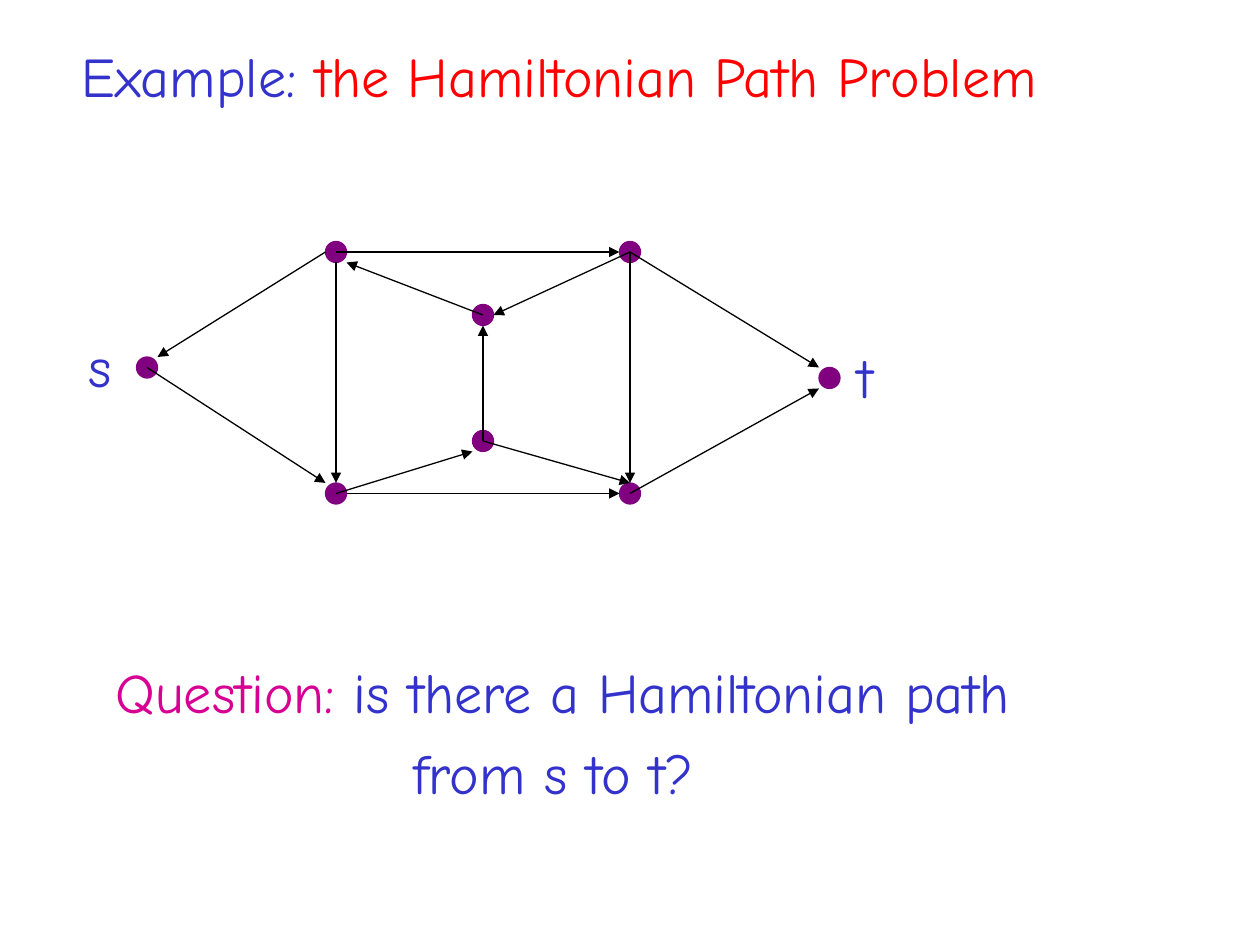
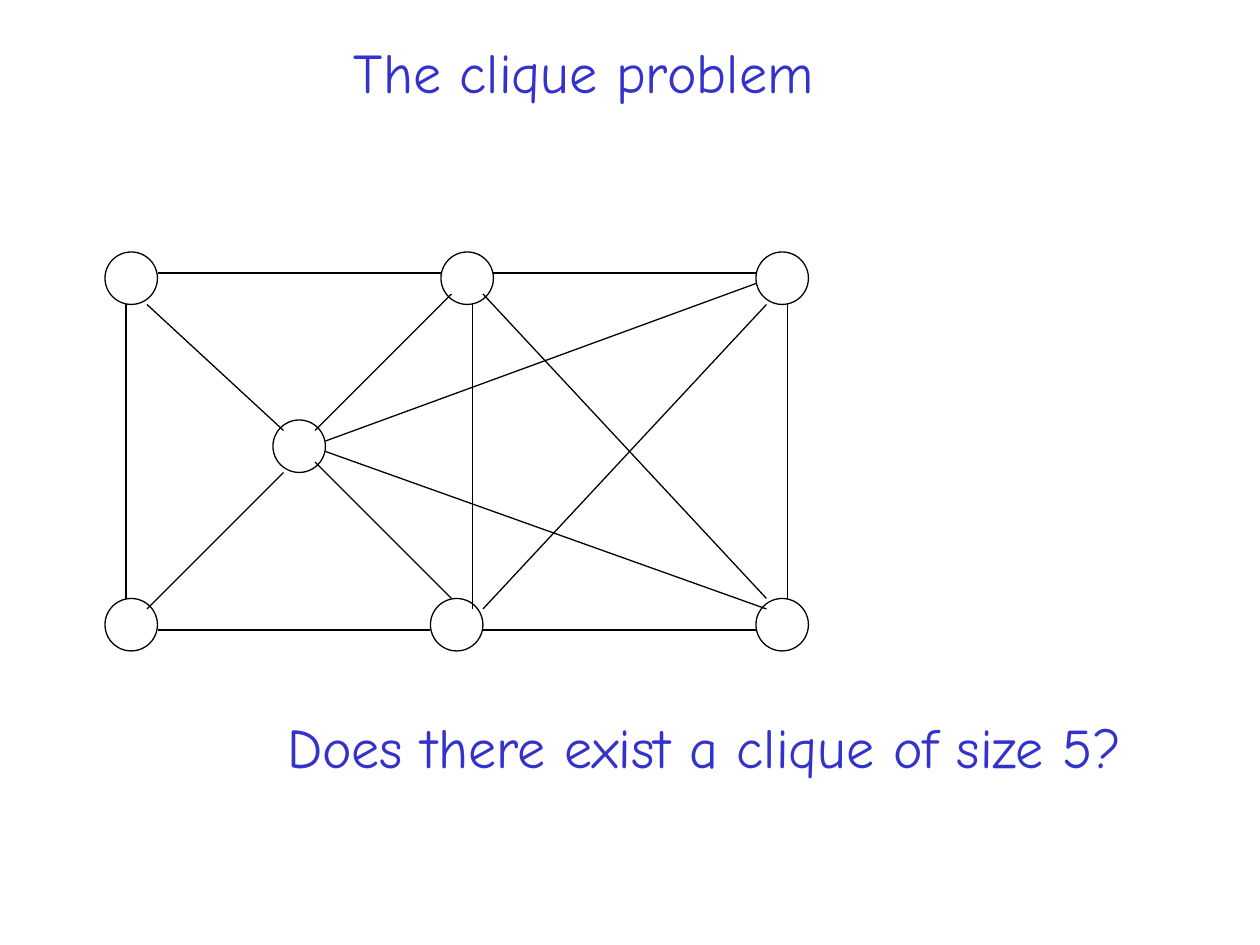
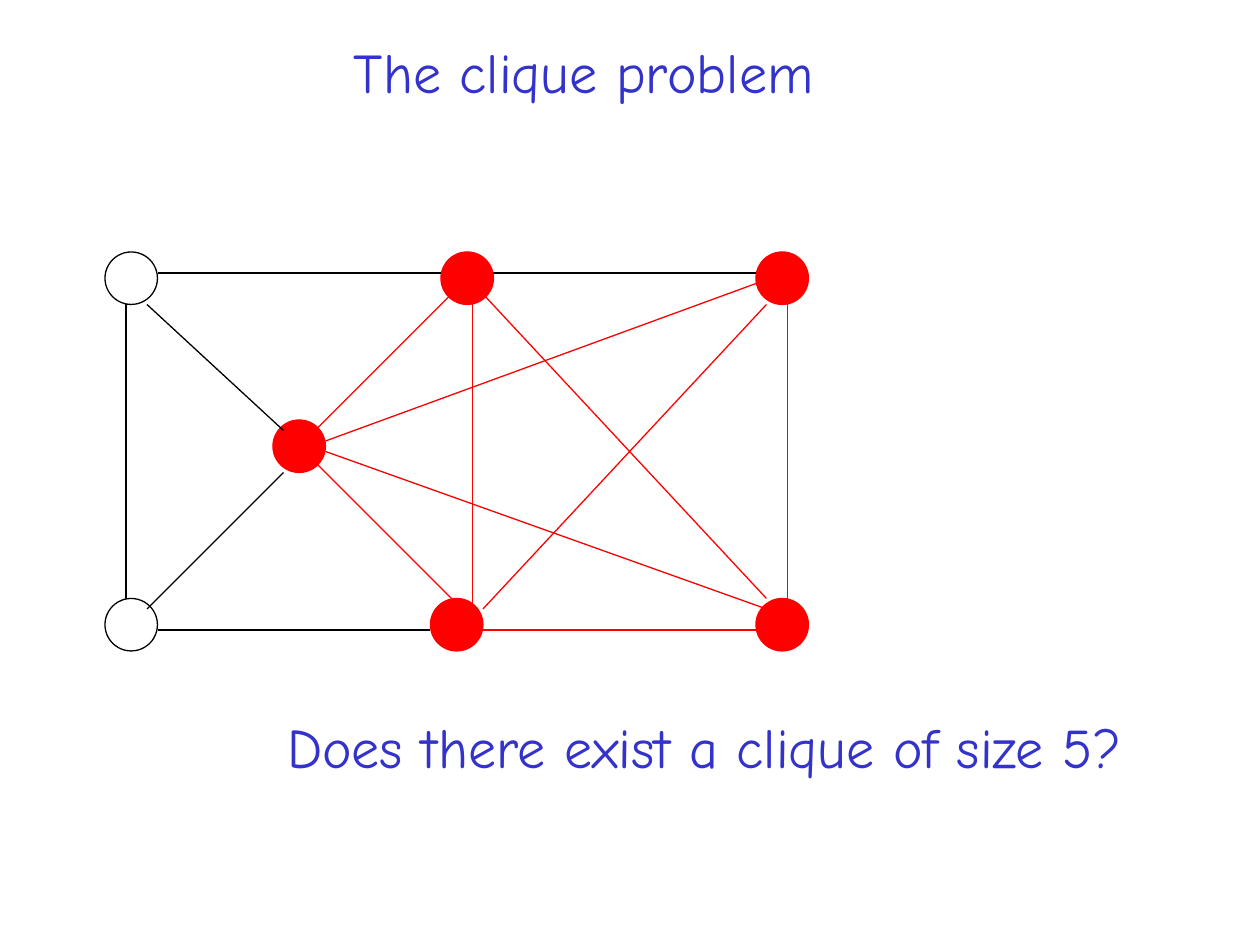
from dataclasses import dataclass
from typing import NamedTuple

from lxml.etree import SubElement
from pptx import Presentation
from pptx.dml.color import RGBColor
from pptx.enum.shapes import MSO_CONNECTOR, MSO_SHAPE
from pptx.enum.text import MSO_AUTO_SIZE
from pptx.oxml.ns import qn
from pptx.slide import Slide
from pptx.util import Inches, Length, Pt


# Theme
@dataclass(frozen=True)
class Theme:
    font: str = "Comic Neue"
    text_size: Length = Pt(32)
    line_width: Length = Pt(0.75)
    space_before: Length = Pt(8)
    line_height: Length = Inches(0.64)
    blue: RGBColor = RGBColor(0x33, 0x33, 0xCC)
    red: RGBColor = RGBColor(0xFF, 0x00, 0x00)
    magenta: RGBColor = RGBColor(0xD6, 0x00, 0x93)
    purple: RGBColor = RGBColor(0x80, 0x00, 0x80)
    black: RGBColor = RGBColor(0x00, 0x00, 0x00)


THEME = Theme()


class Run(NamedTuple):
    text: str
    color: RGBColor = THEME.blue


class Line(NamedTuple):
    runs: list[Run]
    indent: Length = Inches(0)


class Edge(NamedTuple):
    """Joins two nodes; each offset counts grid steps from a node's top left."""
    start: str
    end: str
    start_offset: tuple[int, int]
    end_offset: tuple[int, int]


Nodes = dict[str, tuple[int, int]]


def grid(steps: int) -> Length:
    """Both graphs lie on a grid of twelve steps to the inch."""
    return Inches(steps / 12)


# Drawing functions
def add_text(slide: Slide, *lines: Line, left: float, top: float, width: float) -> None:
    box = slide.shapes.add_textbox(Inches(left), Inches(top), Inches(width),
                                   THEME.line_height * len(lines))
    frame = box.text_frame
    frame.word_wrap = False
    frame.auto_size = MSO_AUTO_SIZE.SHAPE_TO_FIT_TEXT
    for index, line in enumerate(lines):
        paragraph = frame.add_paragraph() if index else frame.paragraphs[0]
        if index:
            paragraph.space_before = THEME.space_before
        if line.indent:
            paragraph._p.get_or_add_pPr().set("marL", str(line.indent))
        for text, color in line.runs:
            run = paragraph.add_run()
            run.text = text
            run.font.name = THEME.font
            run.font.size = THEME.text_size
            run.font.color.rgb = color


def add_node(slide: Slide, position: tuple[int, int], size: int,
             line: RGBColor, fill: RGBColor | None = None) -> None:
    x, y = position
    node = slide.shapes.add_shape(MSO_SHAPE.OVAL, grid(x), grid(y), grid(size), grid(size))
    node.shadow.inherit = False
    if fill is None:
        node.fill.background()
    else:
        node.fill.solid()
        node.fill.fore_color.rgb = fill
    node.line.color.rgb = line
    node.line.width = THEME.line_width


def add_edge(slide: Slide, nodes: Nodes, edge: Edge,
             color: RGBColor = THEME.black, arrow: bool = False) -> None:
    (x1, y1), (x2, y2) = nodes[edge.start], nodes[edge.end]
    (dx1, dy1), (dx2, dy2) = edge.start_offset, edge.end_offset
    link = slide.shapes.add_connector(MSO_CONNECTOR.STRAIGHT, grid(x1 + dx1), grid(y1 + dy1),
                                      grid(x2 + dx2), grid(y2 + dy2))
    link.line.color.rgb = color
    link.line.width = THEME.line_width
    if arrow:
        SubElement(link.line._get_or_add_ln(), qn("a:tailEnd"), type="triangle")
    SubElement(link._element.spPr, qn("a:effectLst"))


# Hamiltonian path graph
PATH_NODE_SIZE = 2
PATH_NODES: Nodes = {
    "s": (13, 34), "t": (78, 35),
    "upper left": (31, 23), "upper right": (59, 23),
    "lower left": (31, 46), "lower right": (59, 46),
    "inner top": (45, 29), "inner bottom": (45, 41),
}
CENTER, TOP, LEFT, BOTTOM, RIGHT = (1, 1), (1, 0), (0, 1), (1, 2), (2, 1)
TOP_LEFT, TOP_RIGHT, BOTTOM_LEFT, BOTTOM_RIGHT = (0, 0), (2, 0), (0, 2), (2, 2)
PATH_EDGES = [
    Edge("upper left", "s", LEFT, TOP_RIGHT),
    Edge("s", "lower left", CENTER, TOP_LEFT),
    Edge("upper left", "lower left", BOTTOM, TOP),
    Edge("upper left", "upper right", CENTER, LEFT),
    Edge("lower left", "lower right", RIGHT, LEFT),
    Edge("lower right", "t", CENTER, BOTTOM_LEFT),
    Edge("upper right", "t", CENTER, TOP_LEFT),
    Edge("inner top", "upper left", CENTER, BOTTOM_RIGHT),
    Edge("upper right", "inner top", CENTER, RIGHT),
    Edge("inner bottom", "inner top", CENTER, BOTTOM),
    Edge("lower left", "inner bottom", CENTER, BOTTOM_LEFT),
    Edge("inner bottom", "lower right", CENTER, TOP),
    Edge("upper right", "lower right", CENTER, TOP),
]

# Clique graph
CLIQUE_NODE_SIZE = 5
CLIQUE_NODES: Nodes = {
    "top left": (10, 24), "top middle": (42, 24), "top right": (72, 24),
    "hub": (26, 40),
    "bottom left": (10, 57), "bottom middle": (41, 57), "bottom right": (72, 57),
}
CLIQUE_EDGES = [
    Edge("top left", "hub", (4, 5), (1, 1)),
    Edge("top left", "bottom left", (2, 5), (2, 0)),
    Edge("bottom left", "bottom middle", (5, 3), (0, 3)),
    Edge("hub", "bottom middle", (4, 4), (2, 0)),
    Edge("top middle", "bottom middle", (3, 5), (4, 1)),
    Edge("top middle", "top right", (5, 2), (0, 2)),
    Edge("bottom middle", "top right", (5, 1), (1, 5)),
    Edge("top right", "bottom right", (3, 5), (3, 0)),
    Edge("top middle", "bottom right", (4, 4), (1, 0)),
    Edge("bottom middle", "bottom right", (5, 3), (0, 3)),
    Edge("top left", "top middle", (5, 2), (0, 2)),
    Edge("hub", "top middle", (4, 1), (1, 4)),
    Edge("bottom left", "hub", (4, 1), (1, 5)),
    Edge("hub", "bottom right", (5, 3), (1, 1)),
    Edge("hub", "top right", (5, 2), (0, 3)),
]
CLIQUE = {"top middle", "top right", "hub", "bottom middle", "bottom right"}
UNMARKED_PAIR = {"top middle", "top right"}


# Slides
def build_path_slide(slide: Slide) -> None:
    add_text(slide, Line([Run("Example: "), Run("the Hamiltonian Path Problem", THEME.red)]),
             left=0.55, top=0.28, width=7.83)
    for position in PATH_NODES.values():
        add_node(slide, position, PATH_NODE_SIZE, THEME.purple, THEME.purple)
    for edge in PATH_EDGES:
        add_edge(slide, PATH_NODES, edge, arrow=True)
    add_text(slide, Line([Run("s")]), left=0.6, top=2.58, width=0.38)
    add_text(slide, Line([Run("t")]), left=6.71, top=2.67, width=0.32)
    add_text(slide,
             Line([Run("Question:", THEME.magenta), Run(" is there a Hamiltonian path")]),
             Line([Run("from s to t?")], indent=Inches(2.36)),
             left=0.82, top=5.17, width=7.47)


def build_clique_slide(slide: Slide, clique: set[str]) -> None:
    add_text(slide, Line([Run("The clique problem")]), left=2.71, top=0.25, width=3.86)
    for name, position in CLIQUE_NODES.items():
        if name in clique:
            add_node(slide, position, CLIQUE_NODE_SIZE, THEME.red, THEME.red)
        else:
            add_node(slide, position, CLIQUE_NODE_SIZE, THEME.black)
    for edge in CLIQUE_EDGES:
        ends = {edge.start, edge.end}
        marked = ends <= clique and ends != UNMARKED_PAIR
        add_edge(slide, CLIQUE_NODES, edge, THEME.red if marked else THEME.black)
    add_text(slide, Line([Run("Does there exist a clique of size 5?")]),
             left=2.18, top=5.61, width=6.85)


def main() -> None:
    deck = Presentation()
    deck.slide_width, deck.slide_height = Inches(10), Inches(7.5)
    blank = deck.slide_layouts[6]
    build_path_slide(deck.slides.add_slide(blank))
    for clique in (set(), CLIQUE):
        build_clique_slide(deck.slides.add_slide(blank), clique)
    deck.save("out.pptx")


if __name__ == "__main__":
    main()
